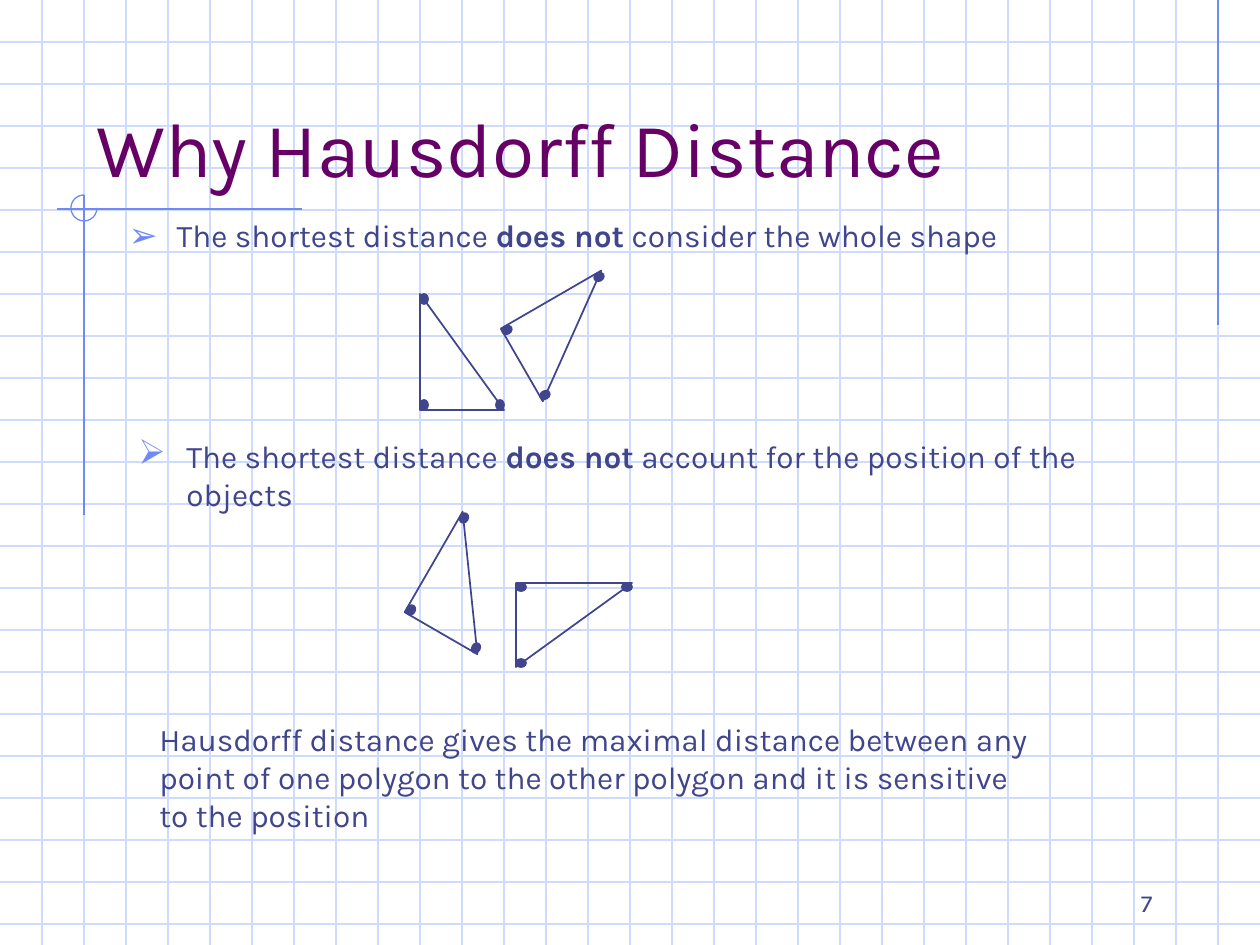
import math
from dataclasses import dataclass

from lxml import etree
from pptx import Presentation
from pptx.dml.color import RGBColor
from pptx.enum.shapes import MSO_CONNECTOR, MSO_SHAPE
from pptx.enum.text import MSO_ANCHOR, MSO_AUTO_SIZE, PP_ALIGN
from pptx.oxml.ns import qn
from pptx.util import Pt

STRAIGHT = MSO_CONNECTOR.STRAIGHT
RIGHT_TRIANGLE, ELLIPSE, ARC = MSO_SHAPE.RIGHT_TRIANGLE, MSO_SHAPE.OVAL, MSO_SHAPE.ARC
TOP, BOTTOM = MSO_ANCHOR.TOP, MSO_ANCHOR.BOTTOM
LEFT, RIGHT = PP_ALIGN.LEFT, PP_ALIGN.RIGHT
NO_AUTOFIT = MSO_AUTO_SIZE.NONE

EMU_PER_PX = 914400 / 126
PAGE_WIDTH, PAGE_HEIGHT, GRID_STEP = 1260, 945, 42


@dataclass(frozen=True)
class Theme:
    font: str = "Karla"
    title: str = "660066"
    ink: str = "40458C"
    accent: str = "6F89F7"
    grid: str = "CFDBFD"
    title_size: int = 44
    body_size: int = 18
    number_size: int = 14
    thin: float = 0.75
    outline: float = 1


@dataclass(frozen=True)
class Rect:
    left: int
    top: int
    width: int
    height: int


@dataclass(frozen=True)
class Span:
    text: str
    bold: bool = False


@dataclass(frozen=True)
class Triangle:
    left: int
    top: int
    rotation: int


THEME = Theme()
TRIANGLE_WIDTH, TRIANGLE_HEIGHT = 84, 116
DOT_WIDTH, DOT_HEIGHT = 8, 10
TRIANGLE_PAIRS = [
    [Triangle(530, 278, 60), Triangle(420, 294, 0)],
    [Triangle(532, 567, 90), Triangle(428, 525, 30)],
]


def emu(px: float) -> int:
    return round(px * EMU_PER_PX)


def color(code: str) -> RGBColor:
    return RGBColor.from_string(code)


def place(box, rect: Rect) -> None:
    for side in ("left", "top", "width", "height"):
        setattr(box, side, emu(getattr(rect, side)))


def add_line(group, start: tuple, end: tuple, code: str) -> None:
    line = group.shapes.add_connector(STRAIGHT, *map(emu, (*start, *end)))
    line.line.color.rgb = color(code)
    line.line.width = Pt(THEME.thin)
    etree.SubElement(line._element.spPr, qn("a:effectLst"))


def add_outlined(group, kind, rect: Rect, code: str, width: float, filled=False):
    shape = group.shapes.add_shape(kind, 0, 0, 0, 0)
    place(shape, rect)
    shape.shadow.inherit = False
    if filled:
        shape.fill.solid()
        shape.fill.fore_color.rgb = color(code)
    else:
        shape.fill.background()
    shape.line.color.rgb = color(code)
    shape.line.width = Pt(width)
    return shape


def add_triangle(group, triangle: Triangle) -> None:
    """Draw a right triangle with a dot in each corner, turned as one."""
    rect = Rect(triangle.left, triangle.top, TRIANGLE_WIDTH, TRIANGLE_HEIGHT)
    outline = add_outlined(group, RIGHT_TRIANGLE, rect, THEME.ink, THEME.outline)
    outline.rotation = triangle.rotation
    center_x = triangle.left + TRIANGLE_WIDTH / 2
    center_y = triangle.top + TRIANGLE_HEIGHT / 2
    reach_x = (TRIANGLE_WIDTH - DOT_WIDTH) / 2
    reach_y = (TRIANGLE_HEIGHT - DOT_HEIGHT) / 2
    angle = math.radians(triangle.rotation)
    for side_x, side_y in ((-1, -1), (1, 1), (-1, 1)):
        offset_x, offset_y = side_x * reach_x, side_y * reach_y
        x = center_x + offset_x * math.cos(angle) - offset_y * math.sin(angle)
        y = center_y + offset_x * math.sin(angle) + offset_y * math.cos(angle)
        rect = Rect(round(x - DOT_WIDTH / 2), round(y - DOT_HEIGHT / 2), DOT_WIDTH, DOT_HEIGHT)
        dot = add_outlined(group, ELLIPSE, rect, THEME.ink, THEME.outline, filled=True)
        dot.rotation = triangle.rotation


def add_bullet(para) -> None:
    properties = para._p.get_or_add_pPr()
    properties.set("marL", str(emu(48)))
    properties.set("indent", str(emu(-48)))
    bullet_color = etree.SubElement(properties, qn("a:buClr"))
    etree.SubElement(bullet_color, qn("a:srgbClr"), val=THEME.accent)
    etree.SubElement(properties, qn("a:buSzPct"), val="110000")
    etree.SubElement(properties, qn("a:buChar"), char="➢")


def write(box, rect: Rect, spans: list[Span], size: int, code: str = THEME.ink,
          anchor=TOP, align=LEFT, bullet: bool = False, indent: int = 0) -> None:
    place(box, rect)
    frame = box.text_frame
    frame_format = {"word_wrap": True, "auto_size": NO_AUTOFIT, "vertical_anchor": anchor}
    for name, value in frame_format.items():
        setattr(frame, name, value)
    para = frame.paragraphs[0]
    if bullet:
        add_bullet(para)
    elif indent:
        para._p.get_or_add_pPr().set("marL", str(emu(indent)))
    para.alignment = align
    para.space_before = Pt(0)
    for span in spans:
        run = para.add_run()
        run.text = span.text
        font_format = {"name": THEME.font, "size": Pt(size), "bold": span.bold}
        for name, value in font_format.items():
            setattr(run.font, name, value)
        run.font.color.rgb = color(code)


def claim(ending: str) -> list[Span]:
    return [Span("The shortest distance "), Span("does not", True), Span(ending)]


def add_text_box(page):
    return page.shapes.add_textbox(0, 0, 0, 0)


def main() -> None:
    deck = Presentation()
    deck.slide_width, deck.slide_height = emu(PAGE_WIDTH), emu(PAGE_HEIGHT)
    page = deck.slides.add_slide(deck.slide_layouts[1])
    title, body = page.shapes.title, page.placeholders[1]

    # Graph paper
    grid = page.shapes.add_group_shape()
    for y in range(GRID_STEP, PAGE_HEIGHT, GRID_STEP):
        add_line(grid, (0, y), (PAGE_WIDTH, y), THEME.grid)
    for x in range(GRID_STEP, PAGE_WIDTH, GRID_STEP):
        add_line(grid, (x, 0), (x, PAGE_HEIGHT), THEME.grid)

    # Accent lines and the open circle where they cross
    accents = page.shapes.add_group_shape()
    add_line(accents, (1218, 0), (1218, 325), THEME.accent)
    add_line(accents, (302, 209), (57, 209), THEME.accent)
    add_line(accents, (84, 195), (84, 515), THEME.accent)
    circle = add_outlined(accents, ARC, Rect(71, 195, 26, 26), THEME.accent, THEME.thin)
    circle.adjustments[0] = 0
    circle.adjustments[1] = 162  # 270 degrees

    # Claims and title, with the placeholders in front of the grid
    write(add_text_box(page), Rect(126, 431, 1071, 73),
          claim(" account for the position of the objects"), THEME.body_size, bullet=True)
    for placeholder in (body, title):
        page.shapes.element.append(placeholder.element)
    write(body, Rect(116, 210, 1061, 273),
          claim(" consider the whole shape"), THEME.body_size, bullet=True)
    write(title, Rect(84, 42, 1071, 157), [Span("Why Hausdorff Distance")],
          THEME.title_size, THEME.title, BOTTOM)

    # Triangle pairs
    for pair in TRIANGLE_PAIRS:
        group = page.shapes.add_group_shape()
        for triangle in pair:
            add_triangle(group, triangle)

    # Conclusion and page number
    conclusion = ("Hausdorff distance gives the maximal distance between any point of one "
                  "polygon to the other polygon and it is sensitive to the position")
    write(add_text_box(page), Rect(84, 714, 966, 126), [Span(conclusion)],
          THEME.body_size, indent=63)
    write(add_text_box(page), Rect(903, 861, 262, 63), [Span("7")],
          THEME.number_size, anchor=BOTTOM, align=RIGHT)

    deck.save("out.pptx")


if __name__ == "__main__":
    main()
